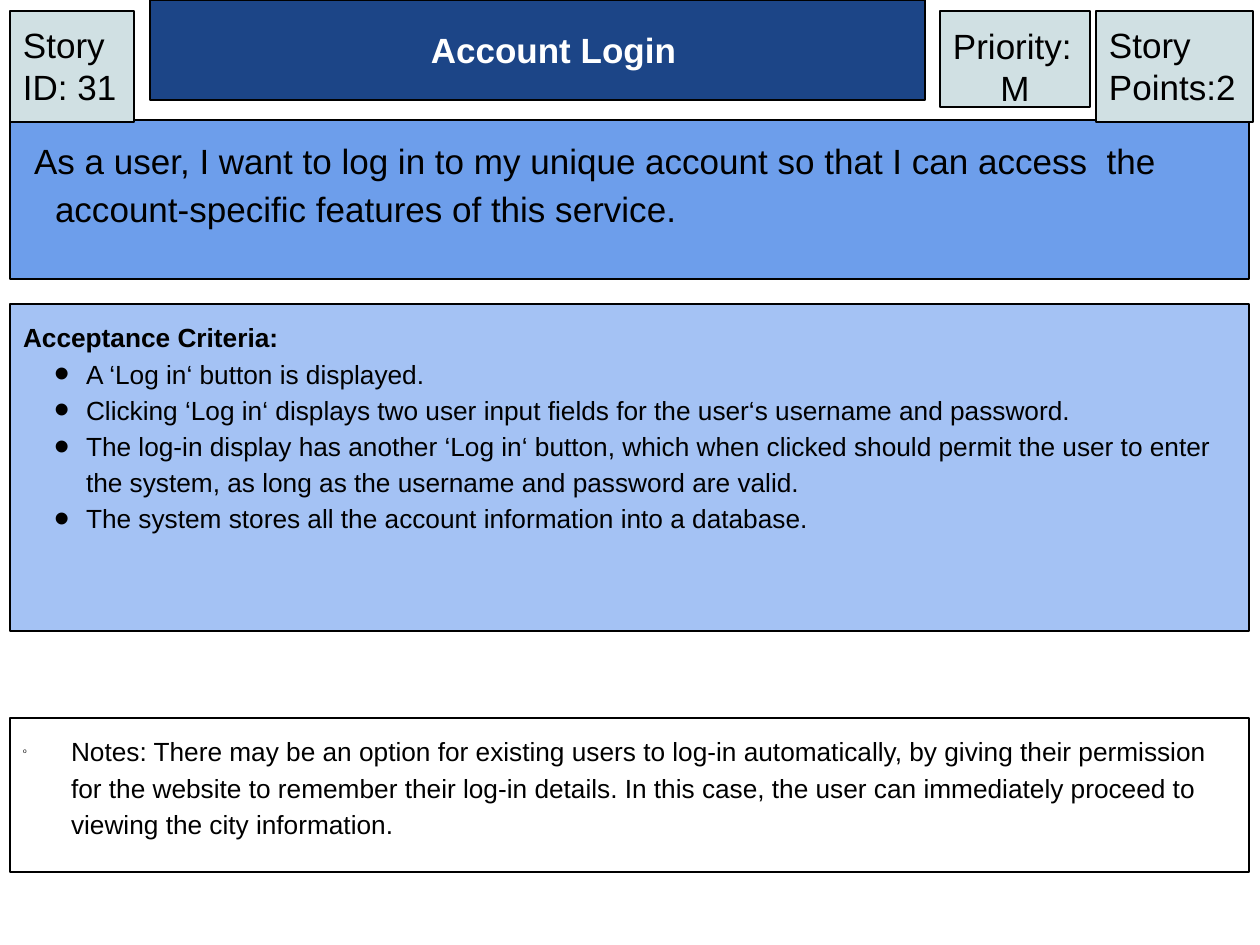
import dataclasses

import pptx
import pptx.dml.color
import pptx.enum.shapes
import pptx.enum.text
import pptx.oxml.ns
import pptx.util
from lxml import etree

ALIGN = pptx.enum.text.PP_ALIGN
ANCHOR = pptx.enum.text.MSO_ANCHOR


@dataclasses.dataclass(frozen=True)
class Theme:
    font: str = "Arial"
    large: int = 20
    small: int = 15
    black: str = "000000"
    white: str = "FFFFFF"
    title: str = "1C4587"
    story: str = "6D9EEB"
    criteria: str = "A4C2F4"
    tag: str = "D0E0E3"
    line_width: float = 0.75
    inset: int = 13
    spacing: float = 1.15


class StoryCard:
    px = 914400 / 126

    def __init__(self, prs, theme):
        self.theme = theme
        self.s = prs.slides.add_slide(prs.slide_layouts[6])

    @classmethod
    def emu(cls, n):
        return pptx.util.Emu(round(n * cls.px))

    def panel(self, x, y, w, h, fill, anchor=ANCHOR.TOP):
        sp = self.s.shapes.add_shape(
            pptx.enum.shapes.MSO_SHAPE.RECTANGLE, *map(self.emu, (x, y, w, h)))
        sp.shadow.inherit = False
        sp.fill.solid()
        sp.fill.fore_color.rgb = pptx.dml.color.RGBColor.from_string(fill)
        sp.line.color.rgb = pptx.dml.color.RGBColor.from_string(self.theme.black)
        sp.line.width = pptx.util.Pt(self.theme.line_width)
        tf = sp.text_frame
        tf.word_wrap = True
        tf.vertical_anchor = anchor
        inset = self.emu(self.theme.inset)
        tf.margin_left = tf.margin_top = tf.margin_right = tf.margin_bottom = inset
        return tf

    def text(self, tf, words, size, color=None, bold=False, align=ALIGN.LEFT,
             left=0, indent=0, spacing=None, bullet=None):
        p = tf.paragraphs[0] if not tf.paragraphs[0].runs else tf.add_paragraph()
        p.alignment = align
        if spacing:
            p.line_spacing = spacing
        pPr = p._p.get_or_add_pPr()
        pPr.set("marL", str(self.emu(left)))
        pPr.set("indent", str(self.emu(indent)))
        if bullet:
            self.bullet(pPr, *bullet)
        r = p.add_run()
        r.text = words
        r.font.name = self.theme.font
        r.font.size = pptx.util.Pt(size)
        r.font.bold = bold
        r.font.color.rgb = pptx.dml.color.RGBColor.from_string(color or self.theme.black)

    def bullet(self, pPr, char, percent):
        qn = pptx.oxml.ns.qn
        clr = etree.SubElement(pPr, qn("a:buClr"))
        etree.SubElement(clr, qn("a:srgbClr"), val=self.theme.black)
        etree.SubElement(pPr, qn("a:buSzPct"), val=str(percent * 1000))
        etree.SubElement(pPr, qn("a:buFont"), typeface=self.theme.font)
        etree.SubElement(pPr, qn("a:buChar"), char=char)

    def tag(self, x, w, h, *lines):
        tf = self.panel(x, 11, w, h, self.theme.tag)
        for words, align in lines:
            self.text(tf, words, self.theme.large, align=align)


def main():
    prs = pptx.Presentation()
    prs.slide_width = StoryCard.emu(1260)
    prs.slide_height = StoryCard.emu(945)
    theme = Theme()
    card = StoryCard(prs, theme)
    left, width = 10, 1239

    story = card.panel(left, 120, width, 159, theme.story)
    card.text(story, "As a user, I want to log in to my unique account so that I can access  the "
              "account-specific features of this service.", theme.large,
              left=32, indent=-21, spacing=theme.spacing)

    title = card.panel(150, 0, 775, 100, theme.title, ANCHOR.MIDDLE)
    card.text(title, "Account Login", theme.large, theme.white, True,
              ALIGN.CENTER, indent=32)

    criteria = card.panel(left, 304, width, 327, theme.criteria)
    card.text(criteria, "Acceptance Criteria:", theme.small, bold=True,
              left=48, indent=-48, spacing=theme.spacing)
    for words in (
        "A ‘Log in‘ button is displayed.",
        "Clicking ‘Log in‘ displays two user input fields for the user‘s username and password.",
        "The log-in display has another ‘Log in‘ button, which when clicked should permit "
        "the user to enter the system, as long as the username and password are valid.",
        "The system stores all the account information into a database.",
    ):
        card.text(criteria, words, theme.small, left=63, indent=-32,
                  spacing=theme.spacing, bullet=("•", 167))

    notes = card.panel(left, 718, width, 154, theme.white)
    card.text(notes, "Notes: There may be an option for existing users to log-in automatically, "
              "by giving their permission for the website to remember their log-in details. "
              "In this case, the user can immediately proceed to viewing the city information.",
              theme.small, left=48, indent=-48, spacing=theme.spacing, bullet=("o", 25))

    card.tag(1096, 157, 111, ("Story Points:2", ALIGN.LEFT))
    card.tag(940, 150, 96, ("Priority:", ALIGN.LEFT), ("M", ALIGN.CENTER))
    card.tag(left, 124, 111, ("Story ID: 31", ALIGN.LEFT))

    prs.save("out.pptx")


if __name__ == "__main__":
    main()
